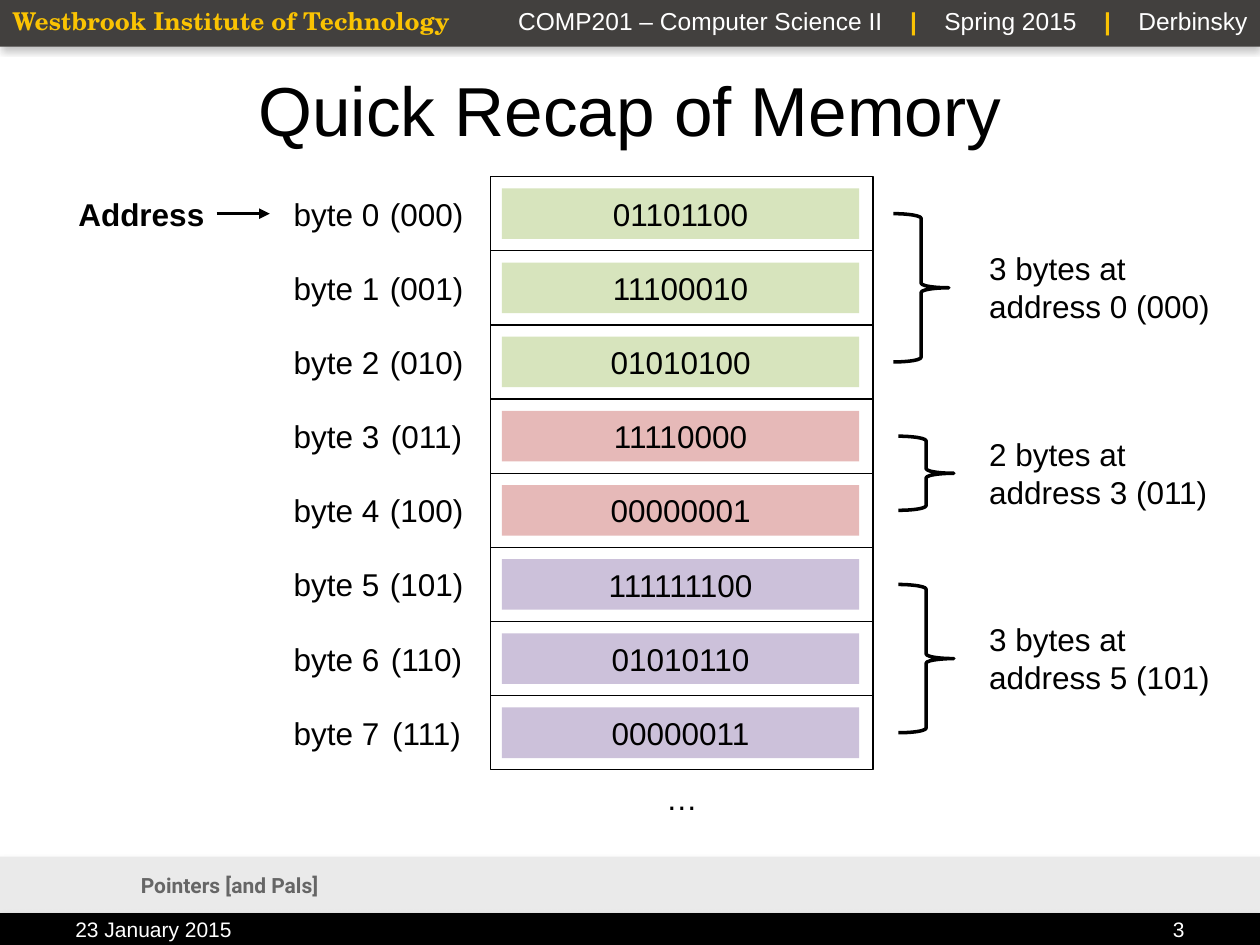
from dataclasses import dataclass

from lxml.etree import SubElement
from pptx import Presentation
from pptx.dml.color import RGBColor
from pptx.enum.shapes import MSO_CONNECTOR, MSO_SHAPE
from pptx.enum.text import MSO_ANCHOR, PP_ALIGN
from pptx.oxml import parse_xml
from pptx.oxml.ns import nsdecls, qn
from pptx.util import Cm, Pt

BLACK, WHITE, GOLD, GREY = "000000", "FFFFFF", "FAC303", "666666"
GREEN, RED, PURPLE = "D7E4BD", "E6B9B8", "CCC1DA"

SLIDE_WIDTH, SLIDE_HEIGHT = 25.4, 19.05
MEMORY_LEFT, MEMORY_TOP, MEMORY_WIDTH, MEMORY_HEIGHT = 9.89, 3.56, 7.71, 11.96
CELL_LEFT, CELL_WIDTH, CELL_HEIGHT = 10.12, 7.2, 1.02
LABEL_WIDTH = 2.46
CAPTION_LEFT, CAPTION_WIDTH, CAPTION_HEIGHT = 19.69, 5.03, 1.8


@dataclass
class Byte:
    bits: str
    fill: str


@dataclass
class Value:
    """A run of neighbouring bytes marked by one brace."""
    first: int
    count: int
    brace_left: float

    @property
    def caption(self) -> str:
        return f"{self.count} bytes at address {self.first} ({self.first:03b})"


@dataclass
class Bar:
    top: float
    height: float
    fill: str


BYTES = [
    Byte("01101100", GREEN), Byte("11100010", GREEN), Byte("01010100", GREEN),
    Byte("11110000", RED), Byte("00000001", RED),
    Byte("111111100", PURPLE), Byte("01010110", PURPLE), Byte("00000011", PURPLE),
]
VALUES = [Value(0, 3, 18.01), Value(3, 2, 18.11), Value(5, 3, 18.11)]
BARS = [Bar(17.27, 1.14, "EAEAEA"), Bar(18.41, 0.64, BLACK), Bar(0, 0.94, "42403E")]
ROW_HEIGHT = MEMORY_HEIGHT / len(BYTES)


def color(hex_code: str) -> RGBColor:
    return RGBColor.from_string(hex_code)


def row_middle(row: int) -> float:
    return MEMORY_TOP + (row + 0.5) * ROW_HEIGHT


def style_run(run, size: float, hex_code: str, bold: bool = False, font: str = "Arial"):
    run.font.name, run.font.size, run.font.bold = font, Pt(size), bold
    run.font.color.rgb = color(hex_code)


def add_text(shapes, left: float, top: float, width: float, height: float, text: str,
             align=PP_ALIGN.LEFT, anchor=MSO_ANCHOR.TOP, size: float = 18,
             hex_code: str = BLACK, bold: bool = False, font: str = "Arial"):
    box = shapes.add_textbox(Cm(left), Cm(top), Cm(width), Cm(height))
    frame = box.text_frame
    frame.word_wrap, frame.vertical_anchor = True, anchor
    frame.text = text
    frame.paragraphs[0].alignment = align
    for run in frame.paragraphs[0].runs:
        style_run(run, size, hex_code, bold, font)
    return box


def add_shape(shapes, preset, left: float, top: float, width: float, height: float,
              fill: str = "", line_width: float = 0):
    shape = shapes.add_shape(preset, Cm(left), Cm(top), Cm(width), Cm(height))
    shape.shadow.inherit = False
    if fill:
        shape.fill.solid()
        shape.fill.fore_color.rgb = color(fill)
    else:
        shape.fill.background()
    if line_width:
        shape.line.color.rgb = color(BLACK)
        shape.line.width = Pt(line_width)
    else:
        shape.line.fill.background()
    return shape


def add_line(shapes, kind, x1: float, y1: float, x2: float, y2: float, width: float):
    line = shapes.add_connector(kind, Cm(x1), Cm(y1), Cm(x2), Cm(y2))
    line.line.color.rgb = color(BLACK)
    line.line.width = Pt(width)
    SubElement(line._element.spPr, qn("a:effectLst"))
    return line


def add_bar(shapes, bar: Bar):
    shape = add_shape(shapes, MSO_SHAPE.RECTANGLE, 0, bar.top, SLIDE_WIDTH, bar.height, bar.fill)
    shape._element.spPr.find(qn("a:effectLst")).append(parse_xml(
        f'<a:outerShdw {nsdecls("a")} blurRad="50800" dist="25400" dir="5400000" rotWithShape="0">'
        f'<a:srgbClr val="{GREY}"><a:alpha val="40000"/></a:srgbClr></a:outerShdw>'))


def add_course_line(shapes):
    """Course, term and teacher, parted by gold bars with widened spaces."""
    box = add_text(shapes, 9.55, 0, 15.85, 0.86, "", PP_ALIGN.RIGHT)
    paragraph = box.text_frame.paragraphs[0]
    pieces = ["COMP201 – Computer Science II", "|", "Spring 2015", "|", "Derbinsky"]
    for index, piece in enumerate(pieces):
        if index:
            gap = paragraph.add_run()
            gap.text = " "
            style_run(gap, 14, WHITE)
            gap._r.get_or_add_rPr().set("spc", "1170")
        run = paragraph.add_run()
        run.text = piece
        is_bar = piece == "|"
        style_run(run, 14, GOLD if is_bar else WHITE, is_bar)


def add_header_and_footer(shapes):
    for bar in BARS:
        add_bar(shapes, bar)
    add_text(shapes, 0, 0, 9.55, 0.86, "Westbrook Institute of Technology",
             size=14, hex_code=GOLD, bold=True, font="TeX Gyre Schola")
    add_course_line(shapes)
    middle = MSO_ANCHOR.MIDDLE
    add_text(shapes, 1.27, 1.35, 22.86, 1.68, "Quick Recap of Memory",
             PP_ALIGN.CENTER, middle, 39.6)
    add_text(shapes, 1.27, 18.41, 6.38, 0.64, "23 January 2015",
             PP_ALIGN.LEFT, middle, 12, WHITE)
    add_text(shapes, 2.59, 17.42, 21.54, 0.84, "Pointers [and Pals]",
             PP_ALIGN.LEFT, middle, 12, GREY, True, "Roboto")
    add_text(shapes, 21.11, 18.41, 3.02, 0.64, "3", PP_ALIGN.RIGHT, middle, 12, WHITE)


def add_memory_frame(shapes):
    add_shape(shapes, MSO_SHAPE.RECTANGLE, MEMORY_LEFT, MEMORY_TOP,
              MEMORY_WIDTH, MEMORY_HEIGHT, line_width=0.75)
    for row in range(1, len(BYTES)):
        y = MEMORY_TOP + row * ROW_HEIGHT
        add_line(shapes, MSO_CONNECTOR.STRAIGHT, MEMORY_LEFT, y,
                 MEMORY_LEFT + MEMORY_WIDTH, y, 0.75)
    add_text(shapes, MEMORY_LEFT, 15.57, MEMORY_WIDTH, 2.57, "…", PP_ALIGN.CENTER)


def add_byte(shapes, row: int, byte: Byte):
    top = row_middle(row) - CELL_HEIGHT / 2
    cell = add_shape(shapes, MSO_SHAPE.RECTANGLE, CELL_LEFT, top, CELL_WIDTH, CELL_HEIGHT, byte.fill)
    cell.text_frame.text = byte.bits
    paragraph = cell.text_frame.paragraphs[0]
    paragraph.alignment = PP_ALIGN.CENTER
    style_run(paragraph.runs[0], 18, BLACK)
    add_text(shapes, 5.44, top, LABEL_WIDTH, CELL_HEIGHT, f"byte {row}", PP_ALIGN.RIGHT)
    add_text(shapes, 7.37, top, LABEL_WIDTH, CELL_HEIGHT, f"({row:03b})", PP_ALIGN.CENTER)


def add_value(shapes, value: Value):
    top = row_middle(value.first)
    height = (value.count - 1) * ROW_HEIGHT
    add_shape(shapes, MSO_SHAPE.RIGHT_BRACE, value.brace_left, top, 1.12, height, line_width=2)
    add_text(shapes, CAPTION_LEFT, top + (height - CAPTION_HEIGHT) / 2,
             CAPTION_WIDTH, CAPTION_HEIGHT, value.caption)


def add_address_pointer(shapes):
    y = row_middle(0)
    add_text(shapes, 1.27, y - CELL_HEIGHT / 2, 3.1, CELL_HEIGHT, "Address",
             PP_ALIGN.RIGHT, bold=True)
    arrow = add_line(shapes, MSO_CONNECTOR.CURVE, 4.37, y, 5.44, y, 2)
    SubElement(arrow.line._get_or_add_ln(), qn("a:tailEnd"), type="triangle")


def main():
    presentation = Presentation()
    presentation.slide_width, presentation.slide_height = Cm(SLIDE_WIDTH), Cm(SLIDE_HEIGHT)
    shapes = presentation.slides.add_slide(presentation.slide_layouts[6]).shapes
    add_header_and_footer(shapes)
    add_memory_frame(shapes.add_group_shape().shapes)
    for row, byte in enumerate(BYTES):
        add_byte(shapes, row, byte)
    for value in VALUES:
        add_value(shapes.add_group_shape().shapes, value)
    add_address_pointer(shapes)
    presentation.save("out.pptx")


if __name__ == "__main__":
    main()
